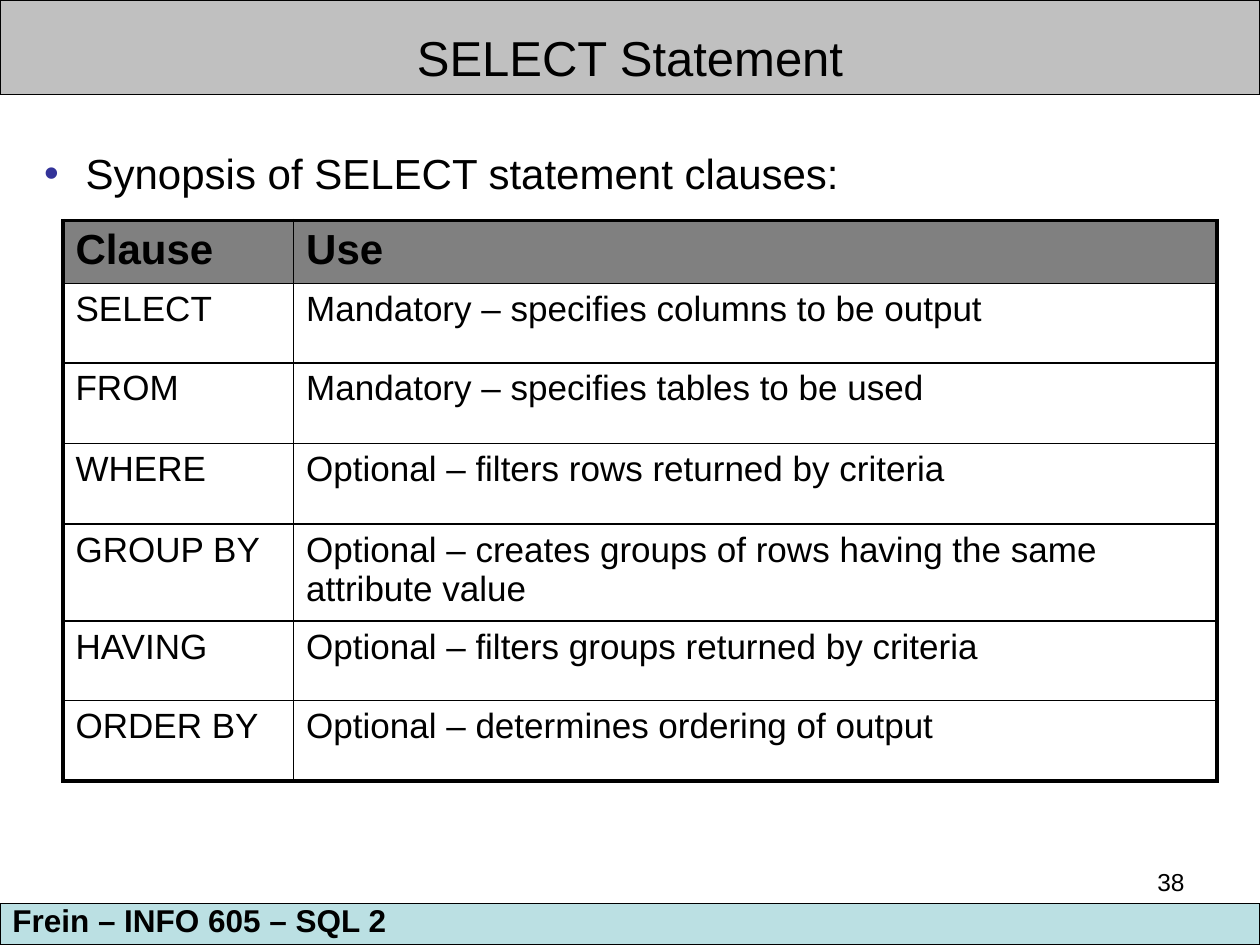
from lxml.etree import SubElement
from pptx import Presentation
from pptx.dml.color import RGBColor
from pptx.enum.shapes import MSO_SHAPE
from pptx.enum.text import MSO_ANCHOR, MSO_AUTO_SIZE, PP_ALIGN
from pptx.oxml import parse_xml
from pptx.oxml.ns import nsdecls, qn
from pptx.util import Inches, Pt

BLACK = RGBColor(0x00, 0x00, 0x00)
WHITE = RGBColor(0xFF, 0xFF, 0xFF)
TITLE_GRAY = RGBColor(0xC0, 0xC0, 0xC0)
HEADER_GRAY = RGBColor(0x80, 0x80, 0x80)
FOOTER_BLUE = RGBColor(0xBB, 0xE0, 0xE3)
BULLET_BLUE = RGBColor(0x33, 0x33, 0x99)

CLAUSES = [
    ("Clause", "Use"),
    ("SELECT", "Mandatory – specifies columns to be output"),
    ("FROM", "Mandatory – specifies tables to be used"),
    ("WHERE", "Optional – filters rows returned by criteria"),
    ("GROUP BY", "Optional – creates groups of rows having the same attribute value"),
    ("HAVING", "Optional – filters groups returned by criteria"),
    ("ORDER BY", "Optional – determines ordering of output"),
]
COLUMN_WIDTHS = [1.83, 7.33]
ROW_HEIGHTS = [0.5, 0.63, 0.64, 0.64, 0.77, 0.63, 0.64]


def write_text(text_frame, text, size=20, bold=False, align=PP_ALIGN.LEFT):
    """Write one formatted paragraph and return it."""
    text_frame.word_wrap = True
    paragraph = text_frame.paragraphs[0]
    paragraph.alignment = align
    run = paragraph.add_run()
    run.text = text
    run.font.name = "Arial"
    run.font.size = Pt(size)
    run.font.bold = bold
    run.font.color.rgb = BLACK
    return paragraph


def place(shape, left, top, width, height):
    """Move and size a shape, in inches."""
    shape.left, shape.top = Inches(left), Inches(top)
    shape.width, shape.height = Inches(width), Inches(height)


def add_band(slide, left, top, width, height, color):
    """Add an outlined band behind everything else."""
    band = slide.shapes.add_shape(
        MSO_SHAPE.RECTANGLE, Inches(left), Inches(top), Inches(width), Inches(height))
    band.shadow.inherit = False
    band.fill.solid()
    band.fill.fore_color.rgb = color
    band.line.color.rgb = BLACK
    band.line.width = Pt(0.75)
    slide.shapes.element.insert(2, band.element)


def add_label(slide, left, top, width, height, text, **text_format):
    """Add a text box with one line of text."""
    label = slide.shapes.add_textbox(
        Inches(left), Inches(top), Inches(width), Inches(height))
    write_text(label.text_frame, text, **text_format)


def fill_placeholder(placeholder, left, top, width, height, text, **text_format):
    """Place a top-anchored placeholder and return its paragraph."""
    place(placeholder, left, top, width, height)
    text_frame = placeholder.text_frame
    text_frame.auto_size = MSO_AUTO_SIZE.NONE
    text_frame.vertical_anchor = MSO_ANCHOR.TOP
    return write_text(text_frame, text, **text_format)


def add_title(slide, left, top, width, height):
    """Build the gray title band with its centred title."""
    add_band(slide, left, top, width, height, TITLE_GRAY)
    fill_placeholder(slide.shapes.title, left + 0.25, top + 0.17, width - 0.5, 0.57,
                     "SELECT Statement", size=28, align=PP_ALIGN.CENTER)


def add_synopsis(slide, left, top, width, height):
    """Build the bulleted line above the table."""
    paragraph = fill_placeholder(slide.placeholders[1], left, top, width, height,
                                 "Synopsis of SELECT statement clauses:", size=24)
    paragraph.line_spacing = 1.5
    paragraph.space_before = Pt(3)
    properties = paragraph._p.get_or_add_pPr()
    properties.set("marL", str(Inches(0.33)))
    properties.set("indent", str(-Inches(0.33)))
    color = SubElement(properties, qn("a:buClr"))
    SubElement(color, qn("a:srgbClr"), val=str(BULLET_BLUE))
    SubElement(properties, qn("a:buFont"), typeface="Arial")
    SubElement(properties, qn("a:buChar"), char="•")


def set_borders(cell, **widths):
    """Draw black cell borders; widths are points keyed L, R, T, B."""
    properties = cell._tc.get_or_add_tcPr()
    for index, (side, width) in enumerate(widths.items()):
        properties.insert(index, parse_xml(
            f'<a:ln{side} {nsdecls("a")} w="{Pt(width)}"><a:solidFill>'
            f'<a:srgbClr val="{BLACK}"/></a:solidFill></a:ln{side}>'))


def add_clause_table(slide, left, top, width, height):
    """Build the clause table with a thick outer frame."""
    row_count, column_count = len(CLAUSES), len(COLUMN_WIDTHS)
    table = slide.shapes.add_table(
        row_count, column_count, Inches(left), Inches(top),
        Inches(width), Inches(height)).table
    for column, column_width in zip(table.columns, COLUMN_WIDTHS):
        column.width = Inches(column_width)
    for row_index, (row, row_height) in enumerate(zip(table.rows, ROW_HEIGHTS)):
        row.height = Inches(row_height)
        is_header = row_index == 0
        for column_index, cell in enumerate(row.cells):
            cell.fill.solid()
            cell.fill.fore_color.rgb = HEADER_GRAY if is_header else WHITE
            write_text(cell.text_frame, CLAUSES[row_index][column_index],
                       size=24 if is_header else 20, bold=is_header)
            set_borders(cell,
                        L=2.25 if column_index == 0 else 1,
                        R=2.25 if column_index == column_count - 1 else 1,
                        T=2.25 if is_header else 1,
                        B=2.25 if row_index == row_count - 1 else 1)


def add_footer(slide, left, top, width, height):
    """Build the footer band, course name and slide number."""
    add_band(slide, left, top, width, height, FOOTER_BLUE)
    add_label(slide, left, top - 0.07, 8, 0.4, "Frein – INFO 605 – SQL 2",
              size=18, bold=True)
    add_label(slide, left + 7.17, top - 0.34, 2.33, 0.52, "38",
              size=14, align=PP_ALIGN.RIGHT)


def main():
    """Build and save the slide."""
    presentation = Presentation()
    presentation.slide_width, presentation.slide_height = Inches(10), Inches(7.5)
    slide = presentation.slides.add_slide(presentation.slide_layouts[1])
    add_title(slide, 0, 0, 10, 0.75)
    add_synopsis(slide, 0.25, 0.92, 9.5, 0.8)
    add_clause_table(slide, 0.5, 1.75, sum(COLUMN_WIDTHS), sum(ROW_HEIGHTS))
    add_footer(slide, 0, 7.17, 10, 0.33)
    presentation.save("out.pptx")


main()
